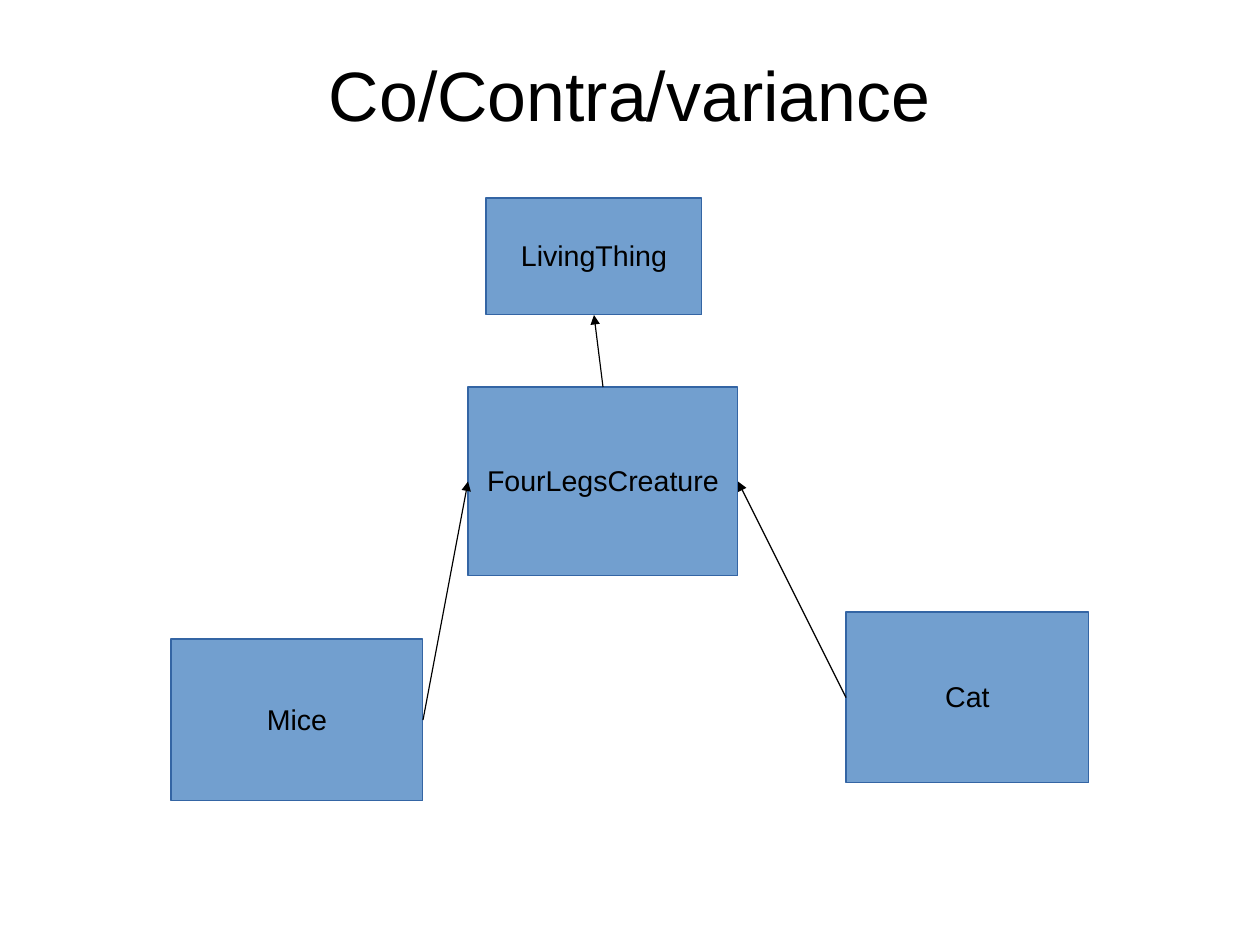
"""Draw a class tree that shows variance."""
from dataclasses import dataclass

from lxml import etree
from pptx import Presentation
from pptx.dml.color import RGBColor
from pptx.enum.shapes import MSO_AUTO_SHAPE_TYPE, MSO_CONNECTOR
from pptx.enum.text import MSO_ANCHOR, MSO_AUTO_SIZE, PP_ALIGN
from pptx.oxml.ns import qn
from pptx.shapes.autoshape import Shape
from pptx.shapes.shapetree import SlideShapes
from pptx.util import Cm, Inches, Pt

RECT = MSO_AUTO_SHAPE_TYPE.RECTANGLE
STRAIGHT = MSO_CONNECTOR.STRAIGHT
MIDDLE = MSO_ANCHOR.MIDDLE
NO_FIT = MSO_AUTO_SIZE.NONE
CENTER = PP_ALIGN.CENTER

BLACK = RGBColor(0x00, 0x00, 0x00)
BLUE = RGBColor(0x72, 0x9F, 0xCF)
NAVY = RGBColor(0x34, 0x65, 0xA4)

WIDTH, HEIGHT = Cm(28), Cm(21)
COLS, ROWS = 140, 105
TOP, LEFT, BOTTOM, RIGHT = range(4)
STROKE = Pt(0.75)

TITLE_FRAME = {
    "margin_left": 0, "margin_top": Inches(0.04), "margin_right": 0,
    "margin_bottom": 0, "vertical_anchor": MIDDLE, "auto_size": NO_FIT,
    "word_wrap": True,
}
BOX_FRAME = {
    "margin_left": Inches(0.1), "margin_top": Inches(0.06),
    "margin_right": Inches(0.1), "margin_bottom": Inches(0.05),
    "vertical_anchor": MIDDLE, "word_wrap": False,
}
PARA = {"alignment": CENTER, "line_spacing": 0.94}


@dataclass(frozen=True)
class Area:
    """A block of grid cells."""
    col: float
    row: float
    wide: float
    high: float

    def place(self) -> dict[str, int]:
        """Give the block as lengths on the slide."""
        return {
            "left": round(WIDTH * self.col / COLS),
            "top": round(HEIGHT * self.row / ROWS),
            "width": round(WIDTH * self.wide / COLS),
            "height": round(HEIGHT * self.high / ROWS),
        }


@dataclass(frozen=True)
class Box:
    """A named block."""
    name: str
    area: Area


@dataclass(frozen=True)
class Arrow:
    """A link from a class to its parent."""
    child: str
    start: int
    parent: str
    end: int


TITLE = Box("Co/Contra/variance", Area(33, 4, 74, 13.3))
BOXES = (
    Box("FourLegsCreature", Area(52, 43, 30, 21)),
    Box("Mice", Area(19, 71, 28, 18)),
    Box("Cat", Area(94, 68, 27, 19)),
    Box("LivingThing", Area(54, 22, 24, 13)),
)
ARROWS = (
    Arrow("Mice", RIGHT, "FourLegsCreature", LEFT),
    Arrow("Cat", LEFT, "FourLegsCreature", RIGHT),
    Arrow("FourLegsCreature", TOP, "LivingThing", BOTTOM),
)


def apply(target: object, values: dict) -> None:
    """Set each value on the target."""
    for key, value in values.items():
        setattr(target, key, value)


def write(shape: Shape, text: str, size: int, frame: dict) -> None:
    """Put one centred line of text in a shape."""
    shape.text_frame.text = text
    apply(shape.text_frame, frame)
    para = shape.text_frame.paragraphs[0]
    apply(para, PARA)
    font = para.runs[0].font
    apply(font, {"name": "Arial", "size": Pt(size)})
    font.color.rgb = BLACK


def draw_box(shapes: SlideShapes, box: Box) -> Shape:
    """Draw a class as a filled box."""
    shape = shapes.add_shape(RECT, **box.area.place())
    shape.shadow.inherit = False
    shape.fill.solid()
    shape.fill.fore_color.rgb = BLUE
    shape.line.color.rgb = NAVY
    shape.line.width = STROKE
    write(shape, box.name, 18, BOX_FRAME)
    return shape


def draw_arrow(shapes: SlideShapes, arrow: Arrow, drawn: dict[str, Shape]) -> None:
    """Join a child to its parent with an arrow."""
    link = shapes.add_connector(STRAIGHT, 0, 0, 0, 0)
    link.begin_connect(drawn[arrow.child], arrow.start)
    link.end_connect(drawn[arrow.parent], arrow.end)
    link.line.color.rgb = BLACK
    link.line.width = STROKE
    props = link._element.spPr
    etree.SubElement(props.find(qn("a:ln")), qn("a:tailEnd"), type="triangle")
    etree.SubElement(props, qn("a:effectLst"))


def main() -> None:
    """Build and save the slide."""
    deck = Presentation()
    deck.slide_width = WIDTH
    deck.slide_height = HEIGHT
    shapes = deck.slides.add_slide(deck.slide_layouts[5]).shapes
    apply(shapes.title, TITLE.area.place())
    write(shapes.title, TITLE.name, 44, TITLE_FRAME)
    drawn = {box.name: draw_box(shapes, box) for box in BOXES}
    for arrow in ARROWS:
        draw_arrow(shapes, arrow, drawn)
    deck.save("out.pptx")


if __name__ == "__main__":
    main()
